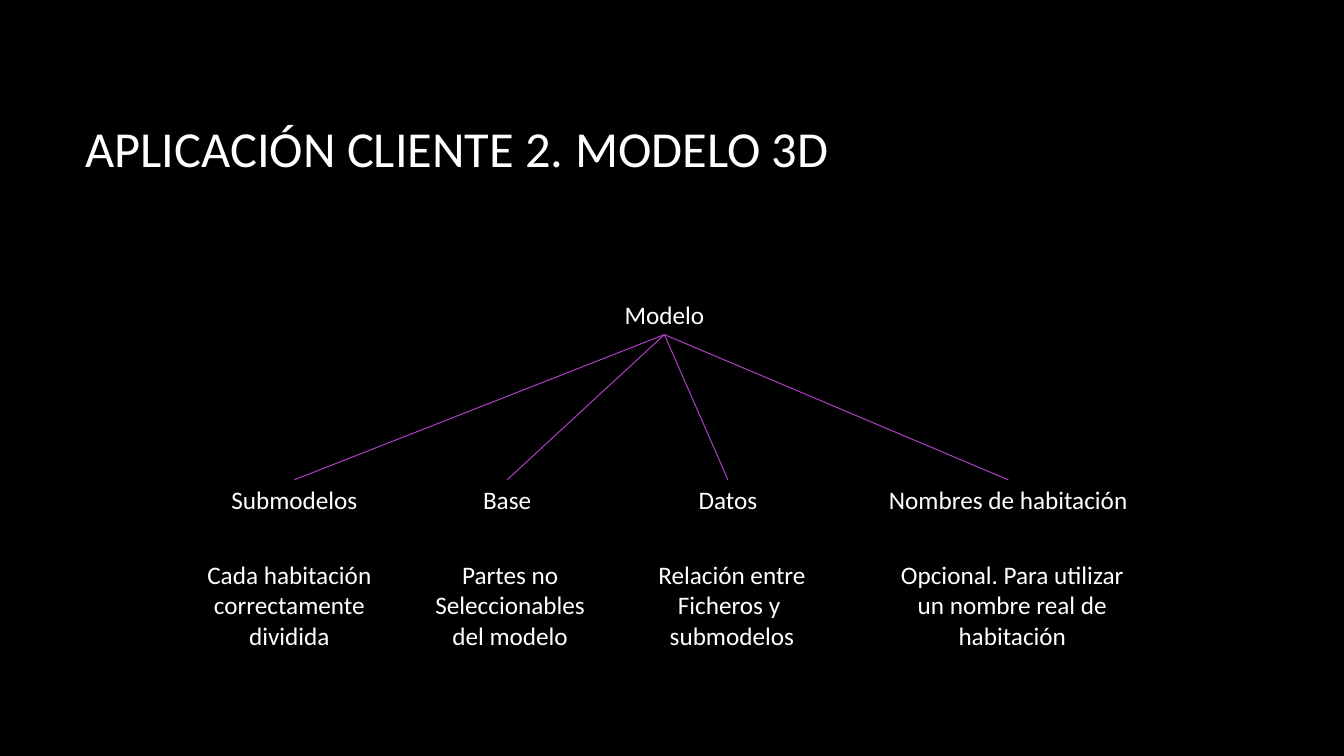
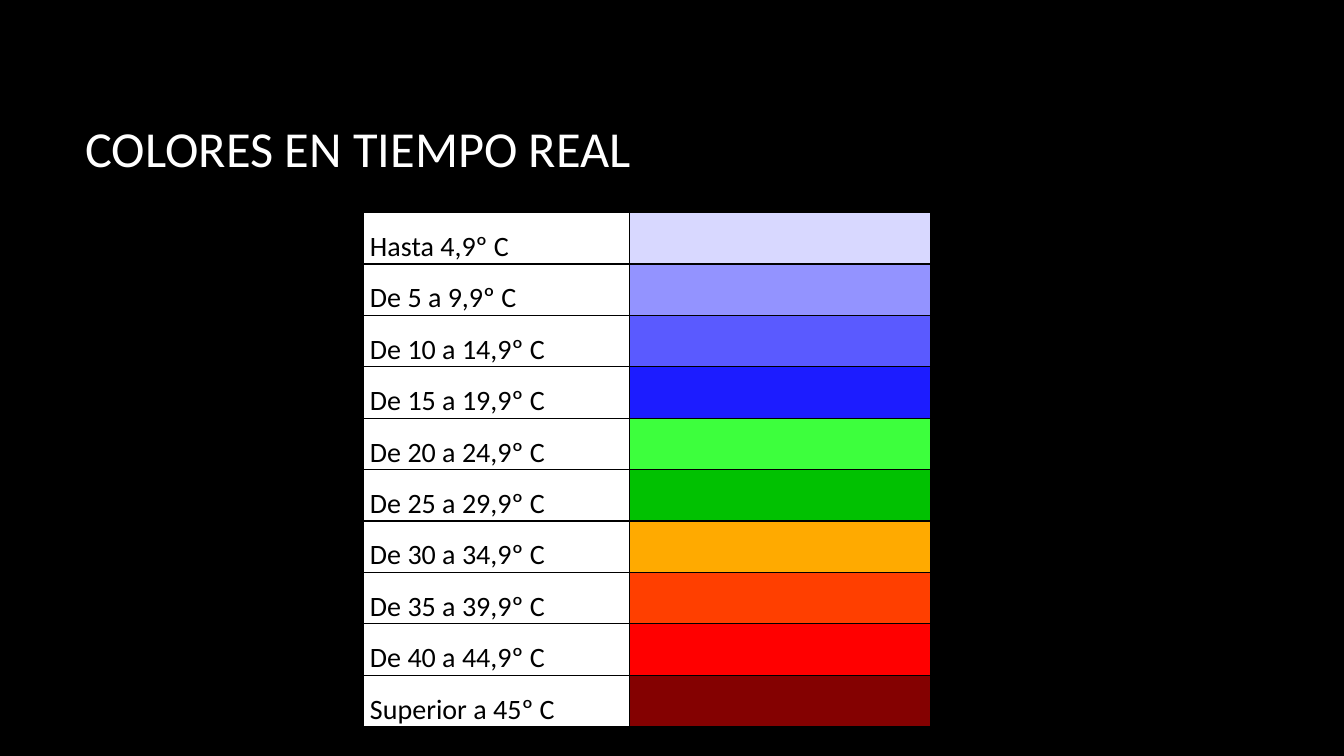
import pptx
import pptx.dml.color
import pptx.enum.shapes
import pptx.enum.text
import pptx.oxml
import pptx.util
from lxml import etree
from pptx.util import Inches

FONT = "Calibri"
BLACK, WHITE, PURPLE = "000000", "FFFFFF", "AC3EC1"
CENTER = pptx.enum.text.PP_ALIGN.CENTER
LEFT = pptx.enum.text.PP_ALIGN.LEFT
TOP = pptx.enum.text.MSO_ANCHOR.TOP
MIDDLE = pptx.enum.text.MSO_ANCHOR.MIDDLE

# Label, centre of the label, centre of the detail, detail
BRANCHES = [
    ("Submodelos", 2.92, 2.87, "Cada habitación correctamente dividida"),
    ("Base", 5.03, 5.06, "Partes no\nSeleccionables\ndel modelo"),
    ("Datos", 7.22, 7.26, "Relación entre\nFicheros y \nsubmodelos"),
    ("Nombres de habitación", 10, 10.04,
     "Opcional. Para utilizar un nombre real de habitación"),
]

TEMPERATURES = [
    ("Hasta 4,9º C", "D8D8FF"),
    ("De 5 a 9,9º C", "9393FF"),
    ("De 10 a 14,9º C", "5A5AFF"),
    ("De 15 a 19,9º C", "1C1CFF"),
    ("De 20 a 24,9º C", "3DFF3D"),
    ("De 25 a 29,9º C", "01C101"),
    ("De 30 a 34,9º C", "FFAA00"),
    ("De 35 a 39,9º C", "FF3F00"),
    ("De 40 a 44,9º C", "FF0000"),
    ("Superior a 45º C", "840101"),
]


def paint(color_format, color):
    """Set a fill's or font's colour from a hex string."""
    color_format.rgb = pptx.dml.color.RGBColor.from_string(color)


def fill_solid(fill, color):
    fill.solid()
    paint(fill.fore_color, color)


def write(frame, text, size=18, color=WHITE, align=CENTER, spacing=None, after=None):
    """Write text into a frame, one paragraph for each line."""
    for index, line in enumerate(text.split("\n")):
        para = frame.add_paragraph() if index else frame.paragraphs[0]
        para.alignment = align
        if spacing is not None:
            para.line_spacing = spacing
        if after is not None:
            para.space_after = pptx.util.Pt(after)
        span = para.add_run()
        span.text = line
        span.font.name = FONT
        span.font.size = pptx.util.Pt(size)
        paint(span.font.color, color)


def add_text(page, left, top, width, height, text, anchor=TOP, **text_format):
    box = page.shapes.add_textbox(
        Inches(left), Inches(top), Inches(width), Inches(height))
    box.text_frame.word_wrap = True
    box.text_frame.vertical_anchor = anchor
    write(box.text_frame, text, **text_format)


def add_line(page, start, end):
    line = page.shapes.add_connector(
        pptx.enum.shapes.MSO_CONNECTOR.STRAIGHT,
        *[Inches(value) for value in start + end])
    line.line.width = pptx.util.Pt(0.75)
    fill_solid(line.line.fill, PURPLE)
    etree.SubElement(line._element.spPr, pptx.oxml.ns.qn("a:effectLst"))


def add_page(deck, title):
    """Add a black page with its title."""
    page = deck.slides.add_slide(deck.slide_layouts[6])
    fill_solid(page.background.fill, BLACK)
    add_text(page, 0.75, 0.67, 11.08, 1.59, title,
             anchor=MIDDLE, size=36, align=LEFT)
    return page


def add_tree(page, center, top):
    """Draw the root, and below it the branches with their details."""
    root_height, branch_drop, detail_drop = 0.4, 1.84, 2.58
    label_width, detail_width = 2.6, 2.47
    add_text(page, center - 0.5, top, 1, root_height, "Modelo")
    for label, label_center, detail_center, detail in BRANCHES:
        add_text(page, label_center - label_width / 2, top + branch_drop,
                 label_width, root_height, label)
        add_text(page, detail_center - detail_width / 2, top + detail_drop,
                 detail_width, 1.01, detail)
        add_line(page, (center, top + root_height),
                 (label_center, top + branch_drop))


def border_cell(cell):
    """Give a cell a thin black line on each side."""
    properties = cell._tc.get_or_add_tcPr()
    for index, side in enumerate(("lnL", "lnR", "lnT", "lnB")):
        border = pptx.oxml.parse_xml(
            f'<a:{side} {pptx.oxml.ns.nsdecls("a")} w="12700"><a:solidFill>'
            f'<a:srgbClr val="{BLACK}"/></a:solidFill></a:{side}>')
        properties.insert(index, border)


def add_scale(page, left, top, widths, row_height):
    """Draw the table of temperature ranges and their colours."""
    table = page.shapes.add_table(
        len(TEMPERATURES), len(widths), Inches(left), Inches(top),
        Inches(sum(widths)), Inches(row_height * len(TEMPERATURES))).table
    table.first_row = table.horz_banding = False
    for column, width in zip(table.columns, widths):
        column.width = Inches(width)
    for index, (label, color) in enumerate(TEMPERATURES):
        table.rows[index].height = Inches(row_height)
        for cell, fill in zip(table.rows[index].cells, (WHITE, color)):
            cell.margin_left = cell.margin_right = Inches(0.07)
            cell.margin_top = cell.margin_bottom = 0
            fill_solid(cell.fill, fill)
            border_cell(cell)
        write(table.cell(index, 0).text_frame, label, size=20, color=BLACK,
              align=LEFT, spacing=1.5, after=6)


def main():
    deck = pptx.Presentation()
    deck.slide_width, deck.slide_height = Inches(13.33), Inches(7.5)

    page = add_page(deck, "APLICACIÓN CLIENTE 2. MODELO 3D")
    add_tree(page, center=6.59, top=2.92)

    page = add_page(deck, "COLORES EN TIEMPO REAL")
    add_scale(page, left=3.6, top=2.11, widths=(2.64, 2.99), row_height=0.51)

    deck.save("out.pptx")


if __name__ == "__main__":
    main()
